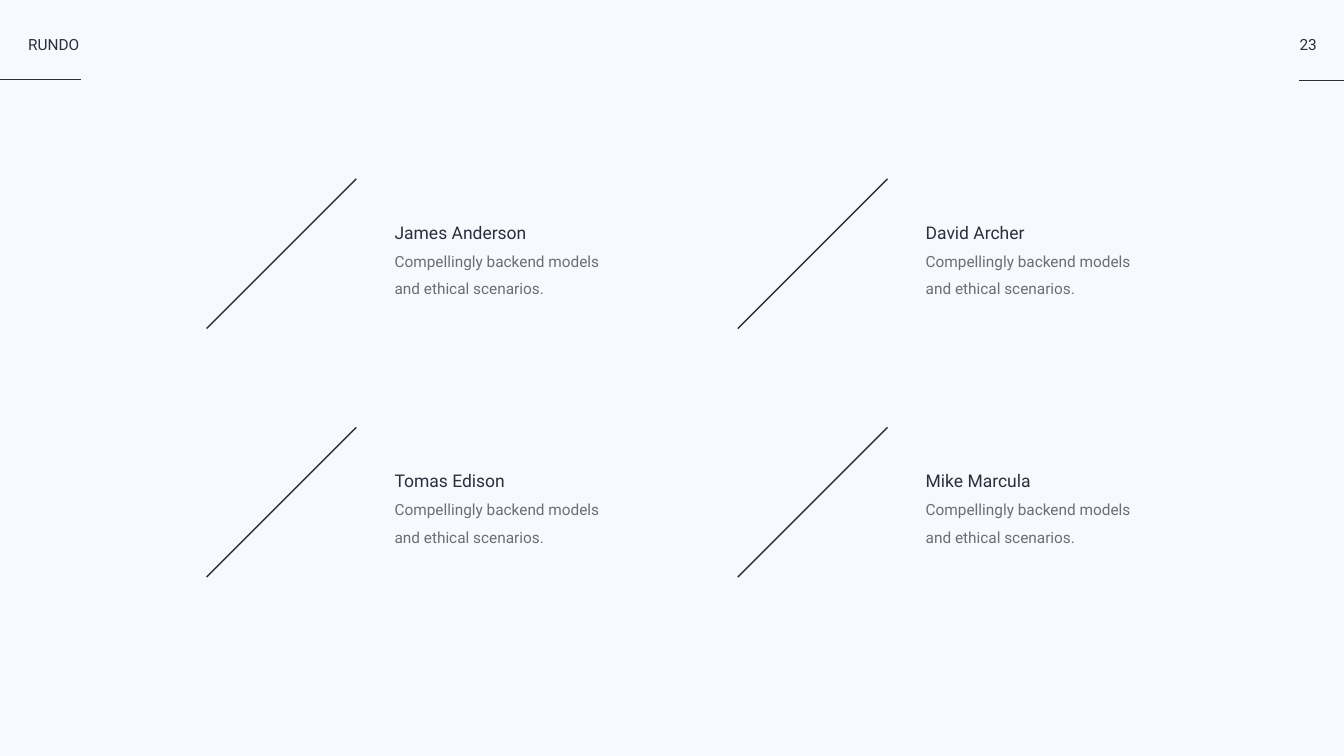
from itertools import product

from lxml.etree import SubElement
from pptx import Presentation
from pptx.dml.color import RGBColor
from pptx.enum.shapes import MSO_CONNECTOR
from pptx.enum.text import MSO_AUTO_SIZE, PP_ALIGN
from pptx.oxml.ns import qn
from pptx.util import Inches, Pt

INK = "2C2E3C"
GREY = "6A6E77"
BACKGROUND = "F7F9FF"
FONT = "Roboto"

MEMBERS = ["James Anderson", "David Archer", "Tomas Edison", "Mike Marcula"]
BIO = ["Compellingly backend models", "and ethical scenarios."]

GRID_LEFT, GRID_TOP = 4.1, 3.55
COLUMN_STEP, ROW_STEP = 10.54, 4.93
DIAGONAL = 2.97
TEXT_OFFSET_X, TEXT_OFFSET_Y = 3.73, 0.64


def paint(color_format, hex_color):
    color_format.rgb = RGBColor.from_string(hex_color)


def add_rule(slide, start, end):
    rule = slide.shapes.add_connector(
        MSO_CONNECTOR.STRAIGHT, *(Inches(value) for value in (*start, *end))
    )
    rule.line.width = Pt(2)
    paint(rule.line.color, INK)
    SubElement(rule._element.spPr, qn("a:effectLst"))


def write(paragraph, text, size=22, color=INK, align=PP_ALIGN.LEFT, spacing=1.0):
    paragraph.alignment = align
    paragraph.line_spacing = spacing
    run = paragraph.add_run()
    run.text = text
    run.font.name = FONT
    run.font.size = Pt(size)
    paint(run.font.color, color)


def add_text_frame(slide, left, top, width, height):
    box = slide.shapes.add_textbox(*(Inches(v) for v in (left, top, width, height)))
    frame = box.text_frame
    frame.margin_left = frame.margin_right = 0
    frame.margin_top = frame.margin_bottom = 0
    frame.word_wrap = False
    frame.auto_size = MSO_AUTO_SIZE.SHAPE_TO_FIT_TEXT
    return frame


def add_header(slide):
    add_rule(slide, (0, 1.58), (1.61, 1.58))
    add_rule(slide, (25.78, 1.6), (26.67, 1.6))
    deck_name = add_text_frame(slide, 0.56, 0.69, 1.05, 0.4)
    write(deck_name.paragraphs[0], "RUNDO")
    page_number = add_text_frame(slide, 25.78, 0.69, 0.36, 0.4)
    write(page_number.paragraphs[0], "23", align=PP_ALIGN.CENTER)


def add_member(slide, left, top, name):
    add_rule(slide, (left, top + DIAGONAL), (left + DIAGONAL, top))
    profile = add_text_frame(
        slide, left + TEXT_OFFSET_X, top + TEXT_OFFSET_Y, 4.1, 1.69
    )
    write(profile.paragraphs[0], name, size=25, spacing=1.5)
    for bio_line in BIO:
        write(profile.add_paragraph(), bio_line, color=GREY, spacing=1.5)


def main():
    deck = Presentation()
    deck.slide_width, deck.slide_height = Inches(26.67), Inches(15)
    slide = deck.slides.add_slide(deck.slide_layouts[6])
    slide.background.fill.solid()
    paint(slide.background.fill.fore_color, BACKGROUND)
    add_header(slide)
    for (row, column), name in zip(product(range(2), repeat=2), MEMBERS):
        left = GRID_LEFT + column * COLUMN_STEP
        top = GRID_TOP + row * ROW_STEP
        add_member(slide, left, top, name)
    deck.save("out.pptx")


if __name__ == "__main__":
    main()
